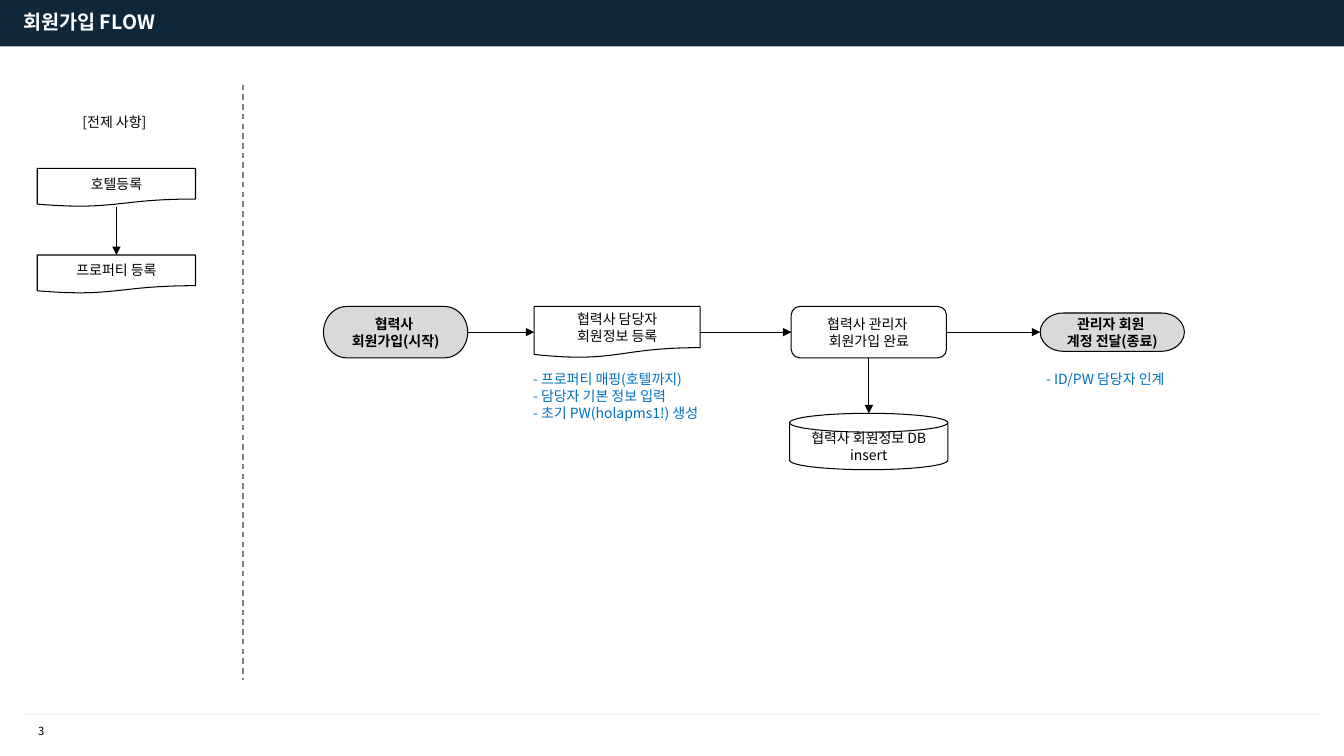
from lxml.etree import SubElement
from pptx import Presentation
from pptx.dml.color import RGBColor
from pptx.enum.dml import MSO_LINE_DASH_STYLE as Dash
from pptx.enum.shapes import MSO_CONNECTOR as Connector, MSO_SHAPE as Shape
from pptx.enum.text import MSO_ANCHOR as Anchor, PP_ALIGN as Align
from pptx.oxml.ns import qn
from pptx.util import Pt

FONT = "Noto Sans CJK KR"
COLORS = {
    "navy": "0E273B", "white": "FFFFFF", "black": "000000", "pale": "F2F2F2",
    "gray": "D9D9D9", "dash": "808080", "blue": "0070C0",
}
TOP, LEFT, BOTTOM, RIGHT = range(4)


def color(name):
    return RGBColor.from_string(COLORS[name])


def write(box, lines, size=10, ink="black", bold=False, align=Align.LEFT,
          anchor=Anchor.TOP, wrap=True):
    frame = box.text_frame
    frame.word_wrap = wrap
    frame.vertical_anchor = anchor
    frame.margin_left = frame.margin_right = Pt(7.2)
    frame.margin_top = frame.margin_bottom = Pt(3.6)
    for index, line in enumerate(lines):
        para = frame.add_paragraph() if index else frame.paragraphs[0]
        para.alignment = align
        span = para.add_run()
        span.text = line
        span.font.size = Pt(size)
        span.font.bold = bold
        span.font.color.rgb = color(ink)
        span.font.name = FONT
        SubElement(span.font._element, qn("a:ea"), typeface=FONT)


def add_box(page, kind, left, top, width, height, fill="white", line=None):
    box = page.shapes.add_shape(kind, Pt(left), Pt(top), Pt(width), Pt(height))
    box.shadow.inherit = False
    box.fill.solid()
    box.fill.fore_color.rgb = color(fill)
    if line:
        box.line.color.rgb = color(line)
        box.line.width = Pt(0.75)
    else:
        box.line.fill.background()
    return box


def add_text(page, left, top, width, height, lines, **style):
    box = page.shapes.add_textbox(Pt(left), Pt(top), Pt(width), Pt(height))
    write(box, lines, **style)


def add_line(page, x1, y1, x2, y2, ink, width=0.75):
    line = page.shapes.add_connector(Connector.STRAIGHT, Pt(x1), Pt(y1), Pt(x2), Pt(y2))
    line.line.color.rgb = color(ink)
    line.line.width = Pt(width)
    SubElement(line._element.spPr, qn("a:effectLst"))
    return line


def add_step(page, kind, left, top, width, height, lines):
    terminal = kind == Shape.FLOWCHART_TERMINATOR
    step = add_box(page, kind, left, top, width, height,
                   "gray" if terminal else "white", "black")
    write(step, lines, bold=terminal, align=Align.CENTER, anchor=Anchor.MIDDLE)
    return step


def add_arrow(page, start, end, down=False):
    arrow = add_line(page, 0, 0, 0, 0, "black")
    arrow.begin_connect(start, BOTTOM if down else RIGHT)
    if end.auto_shape_type == Shape.FLOWCHART_MAGNETIC_DISK:
        arrow.end_x, arrow.end_y = arrow.begin_x, end.top
    else:
        arrow.end_connect(end, TOP if down else LEFT)
    SubElement(arrow.line._get_or_add_ln(), qn("a:tailEnd"), type="triangle")


def add_note(page, left, top, width, height, lines):
    write(add_box(page, Shape.RECTANGLE, left, top, width, height), lines, ink="blue")


def add_frame(page, width, height):
    add_box(page, Shape.RECTANGLE, 0, 0, width, 33.12, "navy")
    add_line(page, 15.12, height - 29.5, width - 15.12, height - 29.5, "pale")
    add_text(page, 12.24, height - 25.92, 34.56, 17.28, ["3"],
             size=8, align=Align.CENTER, wrap=False)
    title = page.shapes.title
    title.element.getparent().append(title.element)
    title.left, title.top, title.width, title.height = Pt(9.36), Pt(3.6), Pt(566.64), Pt(24.48)
    write(title, ["회원가입 FLOW"], size=14, ink="white", bold=True)


def add_premises(page, left, top, width):
    add_text(page, left + 25.2, top, 62.64, 19.44, ["[전제 사항]"])
    hotel, property_step = [
        add_step(page, Shape.FLOWCHART_DOCUMENT, left, top + 42.48 + 61.92 * row,
                 width, 27.36, [label])
        for row, label in enumerate(["호텔등록", "프로퍼티 등록"])
    ]
    add_arrow(page, hotel, property_step, down=True)


def add_signup_flow(page, left, middle):
    steps = [
        add_step(page, kind, left + offset, middle - height / 2, width, height, lines)
        for kind, offset, width, height, lines in [
            (Shape.FLOWCHART_TERMINATOR, 0, 103, 36.72, ["협력사 ", "회원가입(시작)"]),
            (Shape.FLOWCHART_DOCUMENT, 150.48, 118.5, 36.72, ["협력사 담당자", "회원정보 등록"]),
            (Shape.FLOWCHART_ALTERNATE_PROCESS, 334.08, 110.88, 36.72,
             ["협력사 관리자 ", "회원가입 완료"]),
            (Shape.FLOWCHART_TERMINATOR, 511.92, 103, 27.36, ["관리자 회원 ", "계정 전달(종료)"]),
        ]
    ]
    for start, end in zip(steps, steps[1:]):
        add_arrow(page, start, end)
    database = add_step(page, Shape.FLOWCHART_MAGNETIC_DISK, left + 332.9, middle + 58,
                        113.04, 40.32, ["협력사 회원정보 DB", "insert"])
    add_arrow(page, steps[2], database, down=True)
    add_note(page, left + 142.56, middle + 24.12, 159.12, 55.44,
             ["- 프로퍼티 매핑(호텔까지)", "- 담당자 기본 정보 입력", "- 초기 PW(holapms1!) 생성"])
    add_note(page, left + 509.04, middle + 24.12, 108.72, 31.68, ["- ID/PW 담당자 인계"])


def main():
    deck = Presentation()
    deck.slide_width, deck.slide_height = Pt(960), Pt(540)
    page = deck.slides.add_slide(deck.slide_layouts[5])
    add_frame(page, 960, 540)
    add_premises(page, 26.64, 77.76, 113.04)
    divider = add_line(page, 173.52, 60.48, 173.52, 486, "dash", 1)
    divider.line.dash_style = Dash.DASH
    add_signup_flow(page, 231.12, 237.24)
    deck.save("out.pptx")


if __name__ == "__main__":
    main()
